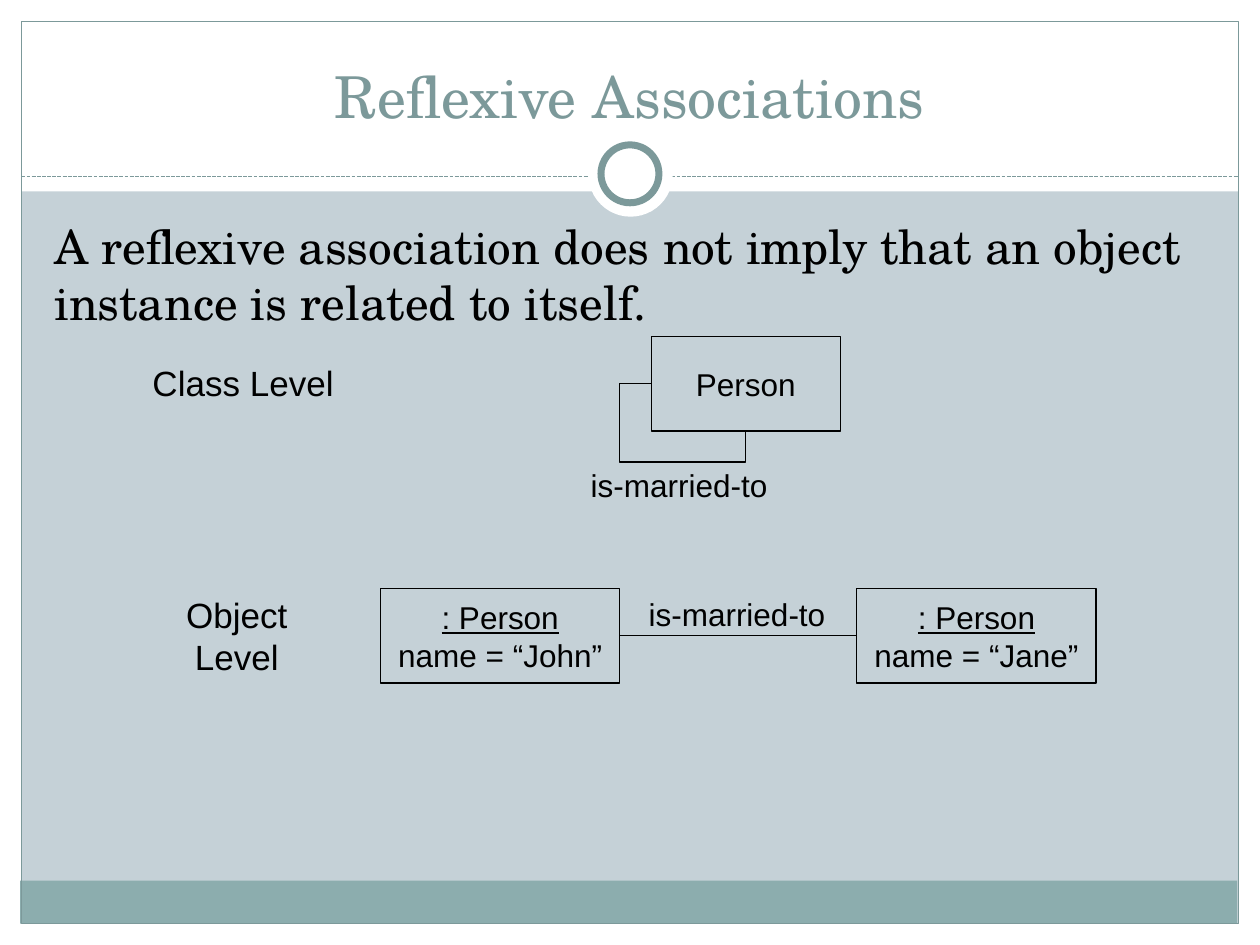
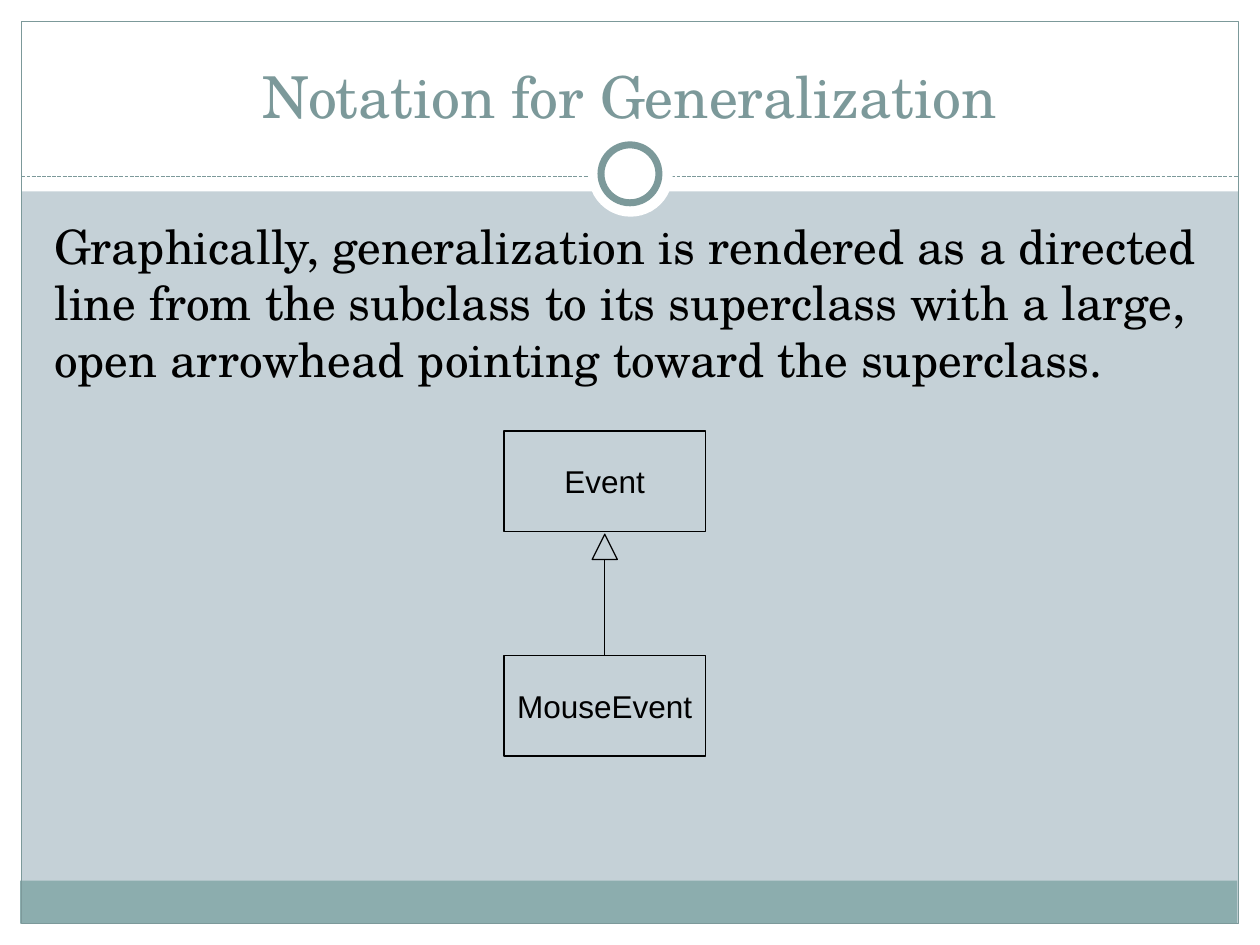
"""Build two slides on UML reflexive associations and generalization."""
from pptx import Presentation
from pptx.dml.color import RGBColor
from pptx.enum.dml import MSO_LINE
from pptx.enum.shapes import MSO_CONNECTOR, MSO_SHAPE
from pptx.enum.text import MSO_ANCHOR, MSO_AUTO_SIZE, PP_ALIGN
from pptx.oxml.ns import qn
from pptx.util import Inches, Pt
from lxml import etree

WHITE = RGBColor(0xFF, 0xFF, 0xFF)
BLACK = RGBColor(0x00, 0x00, 0x00)
PALE = RGBColor(0xC5, 0xD1, 0xD7)
TEAL = RGBColor(0x8C, 0xAD, 0xAE)
SLATE = RGBColor(0x7C, 0x99, 0x9A)
RECT, OVAL, TRIANGLE = MSO_SHAPE.RECTANGLE, MSO_SHAPE.OVAL, MSO_SHAPE.ISOSCELES_TRIANGLE
STRAIGHT, ELBOW = MSO_CONNECTOR.STRAIGHT, MSO_CONNECTOR.ELBOW
SYS_DASH = MSO_LINE.SQUARE_DOT
LEFT, CENTER = PP_ALIGN.LEFT, PP_ALIGN.CENTER
MIDDLE, TOP, BOTTOM = MSO_ANCHOR.MIDDLE, MSO_ANCHOR.TOP, MSO_ANCHOR.BOTTOM
NO_FIT, GROW = MSO_AUTO_SIZE.NONE, MSO_AUTO_SIZE.SHAPE_TO_FIT_TEXT

TITLE = {"name": "TeX Gyre Schola", "size": Pt(33)}
BODY = {"name": "TeX Gyre Schola", "size": Pt(27)}
NODE = {"name": "Arial", "size": Pt(18)}
LEVEL = {"name": "Arial", "size": Pt(20)}

prs = Presentation()
prs.slide_width, prs.slide_height = Inches(10), Inches(7.5)
CELL = prs.slide_width / 100
THIN = Pt(0.75)


def grid(*cells):
    return [round(c * CELL) for c in cells]


def write(sp, lines, fmt, color=BLACK, align=CENTER, anchor=MIDDLE, wrap=False, fit=NO_FIT):
    tf = sp.text_frame
    tf.word_wrap, tf.vertical_anchor, tf.auto_size = wrap, anchor, fit
    for i, line in enumerate(lines):
        p = tf.add_paragraph() if i else tf.paragraphs[0]
        p.alignment, p.space_before = align, 0
        r = p.add_run()
        r.text = line
        r.font.color.rgb = color
        for name, value in fmt.items():
            setattr(r.font, name, value)
        if line.startswith(":"):
            r.font.underline = True


SLIDES = [
    ("Reflexive Associations",
     "A reflexive association does not imply that an object instance is related to itself."),
    ("Notation for Generalization",
     "Graphically, generalization is rendered as a directed line from the subclass to its "
     "superclass with a large, open arrowhead pointing toward the superclass."),
]
slides = []
for heading, statement in SLIDES:
    s = prs.slides.add_slide(prs.slide_layouts[1])
    title, body = s.placeholders
    title.left, title.top, title.width, title.height = grid(3.33, 2.5, 93.3, 8.3)
    body.left, body.top, body.width, body.height = grid(3.3, 16.7, 93, 50)
    pPr = body.text_frame.paragraphs[0]._p.get_or_add_pPr()
    pPr.set("marL", "0")
    pPr.set("indent", "0")
    etree.SubElement(pPr, qn("a:buNone"))
    write(title, [heading], TITLE, SLATE, anchor=BOTTOM, wrap=True)
    write(body, [statement], BODY, align=LEFT, anchor=TOP, wrap=True)
    slides.append(s)
reflexive, general = slides

SHAPES = {
    "bottom margin": (reflexive, RECT, (0, 73.3, 100, 1.7), WHITE, None, 0),
    "header": (reflexive, RECT, (0, 0, 100, 15.2), WHITE, None, 0),
    "left margin": (reflexive, RECT, (0, 0, 1.7, 75), WHITE, None, 0),
    "right margin": (reflexive, RECT, (98.3, 0, 1.7, 75), WHITE, None, 0),
    "footer": (reflexive, RECT, (1.6, 69.9, 96.6, 3.4), TEAL, None, 0),
    "border": (reflexive, RECT, (1.7, 1.7, 96.6, 71.6), None, SLATE, THIN),
    "disc": (reflexive, OVAL, (46.7, 10.5, 6.7, 6.7), WHITE, None, 0),
    "ring": (reflexive, OVAL, (47.7, 11.5, 4.6, 4.6), WHITE, SLATE, Pt(4)),
    "John": (reflexive, RECT, (30.2, 46.7, 19, 7.5), None, BLACK, THIN),
    "Jane": (reflexive, RECT, (68, 46.7, 19, 7.5), None, BLACK, THIN),
    "Person": (reflexive, RECT, (51.7, 26.7, 15, 7.5), None, BLACK, THIN),
    "MouseEvent": (general, RECT, (40, 52, 16, 8), None, BLACK, THIN),
    "Event": (general, RECT, (40, 34.2, 16, 8), None, BLACK, THIN),
    "arrowhead": (general, TRIANGLE, (47, 42.4, 2, 2), None, BLACK, THIN),
}
drawn = {}
for name, (s, kind, box, fill, line, width) in SHAPES.items():
    sp = s.shapes.add_shape(kind, *grid(*box))
    sp.shadow.inherit = False
    for part, color in ((sp.fill, fill), (sp.line.fill, line)):
        if color is None:
            part.background()
        else:
            part.solid()
            part.fore_color.rgb = color
    if line is not None:
        sp.line.width = width
    drawn[name] = sp

for name in ("Person", "MouseEvent", "Event"):
    write(drawn[name], [name], NODE)
for name in ("John", "Jane"):
    write(drawn[name], [": Person", f"name = “{name}”"], NODE)

rule = reflexive.shapes.add_connector(STRAIGHT, *grid(1.7, 14, 98.3, 14))
marriage = reflexive.shapes.add_connector(STRAIGHT, *grid(49.2, 50.4, 68, 50.4))
marriage.begin_connect(drawn["John"], 3)
marriage.end_connect(drawn["Jane"], 1)
loop = reflexive.shapes.add_connector(ELBOW, *grid(53.55, 36.05, 57.3, 28.55))
inherits = general.shapes.add_connector(STRAIGHT, *grid(48, 52, 48, 44.4))
inherits.begin_connect(drawn["MouseEvent"], 0)
for line, color in ((rule, SLATE), (marriage, BLACK), (loop, BLACK), (inherits, BLACK)):
    line.line.color.rgb = color
    line.line.width = THIN
    etree.SubElement(line.element.spPr, qn("a:effectLst"))
rule.line.dash_style = SYS_DASH

loop.element.spPr.find(qn("a:xfrm")).set("rot", "16200000")
geom = loop.element.spPr.find(qn("a:prstGeom"))
geom.set("prst", "bentConnector4")
for child in list(geom):
    geom.remove(child)
guides = etree.SubElement(geom, qn("a:avLst"))
for name, value in (("adj1", -66700), ("adj2", 133300)):
    etree.SubElement(guides, qn("a:gd"), name=name, fmla=f"val {value}")

LABELS = [
    ("is-married-to", (50.5, 46.7, 16, 4), NODE, LEFT, TOP),
    ("is-married-to", (45.9, 36.5, 16, 4), NODE, LEFT, TOP),
    ("Class Level", (11.1, 28.2, 16.4, 4.3), LEVEL, CENTER, MIDDLE),
    ("Object Level", (10.1, 48.3, 17.4, 4.3), LEVEL, CENTER, MIDDLE),
]
for text, box, fmt, align, anchor in LABELS:
    sp = reflexive.shapes.add_textbox(*grid(*box))
    write(sp, [text], fmt, align=align, anchor=anchor, fit=GROW)

master = prs.slide_master
master.background.fill.solid()
master.background.fill.fore_color.rgb = PALE
tree = master.shapes.element
frame = [drawn[name] for name in list(SHAPES)[:6]] + [rule, drawn["disc"], drawn["ring"]]
for i, sp in enumerate(frame):
    sp.element.xpath(".//p:cNvPr")[0].set("id", str(101 + i))
    tree.insert(2 + i, sp.element)

prs.save("out.pptx")
